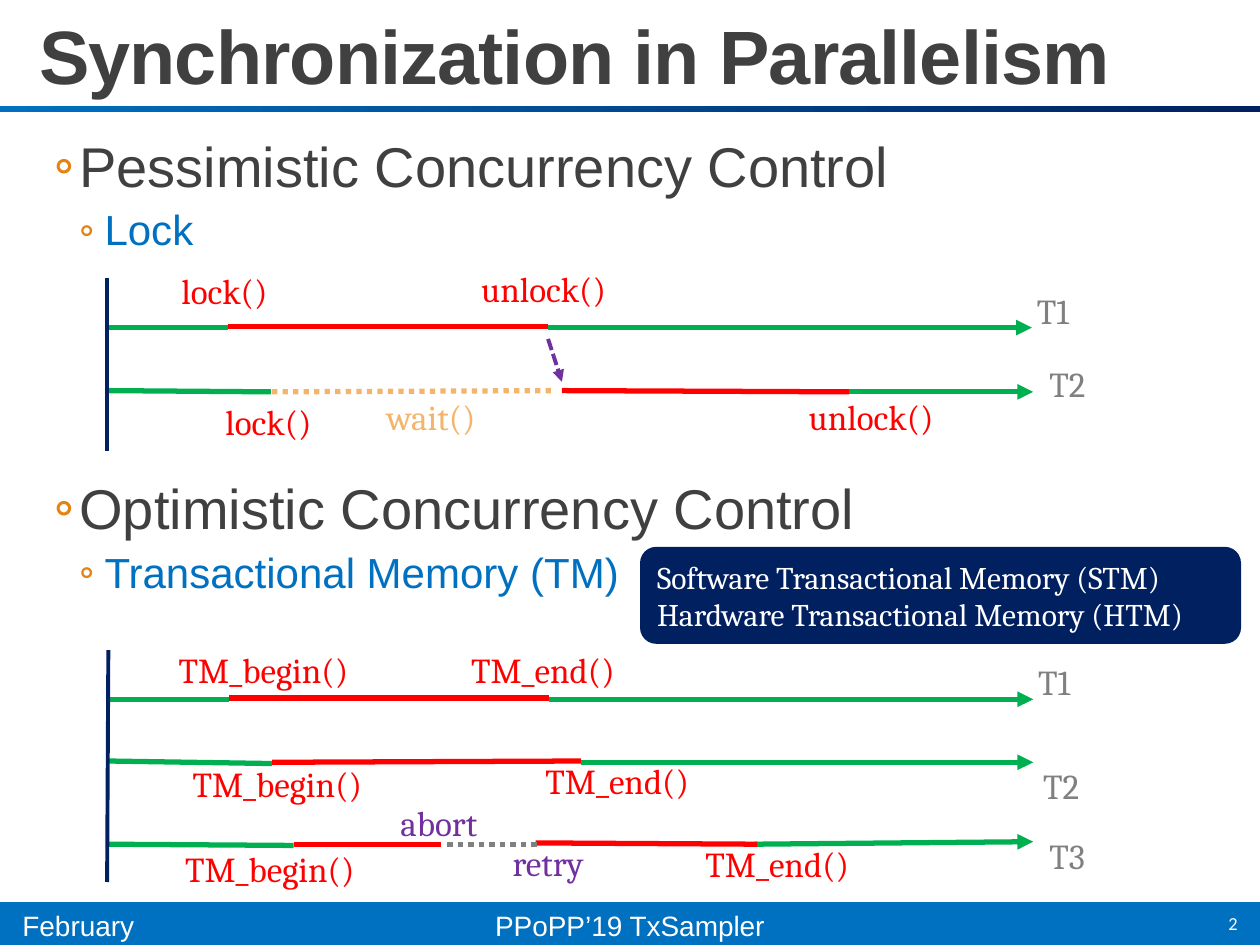
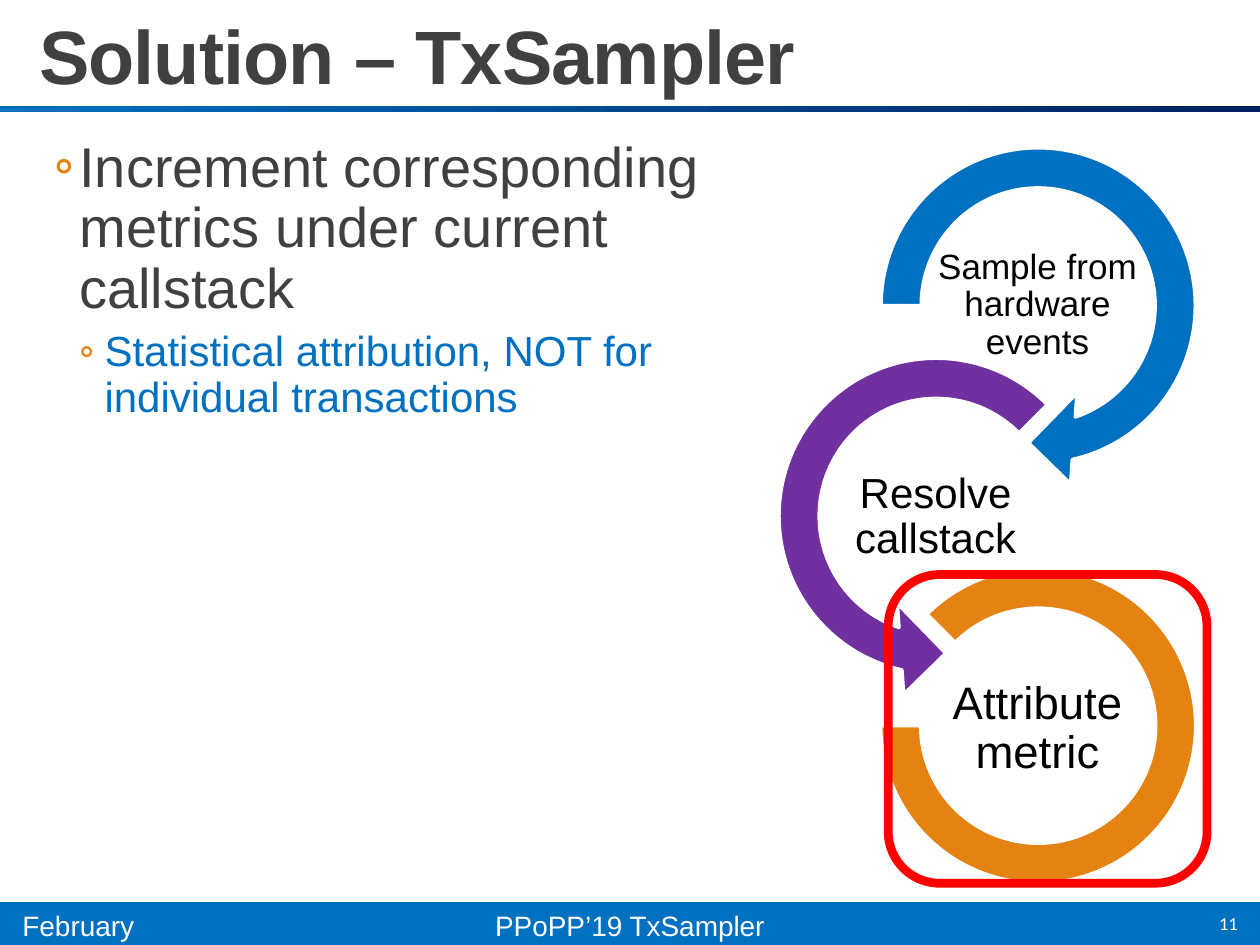
"""Builds two slides on thread synchronization and the TxSampler method."""
from lxml.etree import SubElement
from pptx import Presentation
from pptx.dml.color import RGBColor
from pptx.enum.dml import MSO_LINE
from pptx.enum.shapes import MSO_CONNECTOR, MSO_SHAPE
from pptx.enum.text import MSO_ANCHOR, MSO_AUTO_SIZE, PP_ALIGN
from pptx.oxml.ns import qn
from pptx.util import Inches, Pt

HUES = {
    "white": "FFFFFF", "black": "000000", "dark": "404040", "gray": "808080",
    "navy": "002060", "blue": "0070C0", "green": "00B050", "red": "FF0000",
    "purple": "7030A0", "orange": "E48312", "peach": "F3B56C",
}
LEVELS = [(32, "dark", 0.42), (24, "blue", 0.62)]


def tint(name):
    return RGBColor.from_string(HUES[name])


def place(shape, box):
    shape.left, shape.top, shape.width, shape.height = map(Inches, box)


def style(para, size, hue, face="Arial", bold=False):
    font = para.font
    font.size, font.name, font.bold = Pt(size), face, bold
    font.color.rgb = tint(hue)


def inset(frame, side, edge):
    frame.margin_left = frame.margin_right = Inches(side)
    frame.margin_top = frame.margin_bottom = Inches(edge)


def block(slide, kind, box, fill=None, line=None, width=1, adjust=()):
    shape = slide.shapes.add_shape(kind, *map(Inches, box))
    shape.shadow.inherit = False
    for spot, value in enumerate(adjust):
        shape.adjustments[spot] = value
    if fill:
        shape.fill.solid()
        shape.fill.fore_color.rgb = tint(fill)
    else:
        shape.fill.background()
    if line:
        shape.line.color.rgb = tint(line)
        shape.line.width = Pt(width)
    else:
        shape.line.fill.background()
    return shape


def label(slide, text, box, size, hue, face="Arial", align=PP_ALIGN.LEFT,
          anchor=MSO_ANCHOR.TOP):
    frame = slide.shapes.add_textbox(*map(Inches, box)).text_frame
    frame.word_wrap = True
    frame.vertical_anchor = anchor
    para = frame.paragraphs[0]
    para.text, para.alignment = text, align
    style(para, size, hue, face)
    return frame


def stroke(slide, start, end, hue, width=3, dash=None, arrow=False):
    wire = slide.shapes.add_connector(
        MSO_CONNECTOR.STRAIGHT, *map(Inches, start + end))
    wire.line.color.rgb = tint(hue)
    wire.line.width = Pt(width)
    if dash:
        wire.line.dash_style = dash
    if arrow:
        SubElement(wire.line._get_or_add_ln(), qn("a:tailEnd"), type="triangle")
    SubElement(wire._element.spPr, qn("a:effectLst"))


def bullet(para, indent):
    props = para._p.get_or_add_pPr()
    props.set("marL", str(Inches(indent)))
    props.set("indent", str(Inches(-0.2)))
    paint = SubElement(props, qn("a:buClr"))
    SubElement(paint, qn("a:srgbClr"), val=HUES["orange"])
    SubElement(props, qn("a:buFont"), typeface="Calibri")
    SubElement(props, qn("a:buChar"), char="◦")


def outline(slide, width, items):
    body = slide.placeholders[1]
    place(body, (0.21, 1.05, width, 5.95))
    frame = body.text_frame
    frame.auto_size = MSO_AUTO_SIZE.NONE
    inset(frame, 0, 0.05)
    for spot, (level, text, before) in enumerate(items):
        para = frame.add_paragraph() if spot else frame.paragraphs[0]
        size, hue, indent = LEVELS[level]
        para.text, para.level = text, level
        bullet(para, indent)
        para.line_spacing = 0.9
        para.space_before, para.space_after = Pt(before), Pt(4)
        style(para, size, hue)


def base(deck, heading, number):
    slide = deck.slides.add_slide(deck.slide_layouts[1])
    rule = block(slide, MSO_SHAPE.RECTANGLE, (0, 0.84, 10, 0.05))
    rule.fill.gradient()
    rule.fill.gradient_angle = 0
    for stop, hue, spot in zip(rule.fill.gradient_stops, ("blue", "navy"), (0, 1)):
        stop.color.rgb, stop.position = tint(hue), spot

    band = block(slide, MSO_SHAPE.RECTANGLE, (0, 7.16, 10, 0.34), "blue")
    band.text_frame.vertical_anchor = MSO_ANCHOR.TOP
    para = band.text_frame.paragraphs[0]
    para.text, para.alignment = "PPoPP’19 TxSampler", PP_ALIGN.CENTER
    style(para, 16, "white")
    label(slide, "February", (0.08, 7.16, 1.24, 0.37), 16, "white")
    label(slide, number, (8.84, 7.13, 1.08, 0.4), 10.5, "white", "Calibri",
          PP_ALIGN.RIGHT, MSO_ANCHOR.MIDDLE)

    title = slide.shapes.title
    place(title, (0.21, 0.26, 9.37, 0.58))
    frame = title.text_frame
    frame.auto_size = MSO_AUTO_SIZE.NONE
    frame.vertical_anchor = MSO_ANCHOR.BOTTOM
    para = frame.paragraphs[0]
    para.text, para.alignment, para.line_spacing = heading, PP_ALIGN.LEFT, 0.85
    style(para, 43.2, "dark", bold=True)
    para.runs[0]._r.get_or_add_rPr().set("spc", "-50")
    return slide


def threads(slide):
    green = [
        ((0.85, 2.6), (1.81, 2.6)), ((0.85, 3.1), (2.15, 3.11)),
        ((0.86, 5.55), (1.82, 5.55)), ((0.86, 6.04), (2.16, 6.06)),
        ((0.85, 6.7), (2.33, 6.71)),
    ]
    heads = [
        ((4.35, 2.6), (8.19, 2.6)), ((6.74, 3.11), (8.2, 3.11)),
        ((4.36, 5.55), (8.2, 5.55)), ((4.61, 6.05), (8.2, 6.05)),
        ((5.99, 6.7), (8.2, 6.68)),
    ]
    red = [
        ((1.81, 2.59), (4.35, 2.59)), ((4.46, 3.1), (6.74, 3.11)),
        ((1.82, 5.54), (4.36, 5.54)), ((2.16, 6.05), (4.61, 6.04)),
        ((2.33, 6.7), (3.5, 6.7)), ((4.25, 6.69), (6.01, 6.7)),
    ]
    for start, end in green:
        stroke(slide, start, end, "green")
    for start, end in heads:
        stroke(slide, start, end, "green", arrow=True)
    for start, end in red:
        stroke(slide, start, end, "red")
    dots = MSO_LINE.ROUND_DOT
    stroke(slide, (2.16, 3.11), (4.41, 3.1), "peach", dash=dots)
    stroke(slide, (3.55, 6.7), (4.26, 6.7), "gray", dash=dots)
    stroke(slide, (4.35, 2.69), (4.46, 3.03), "purple", 2.25,
           MSO_LINE.SQUARE_DOT, True)
    stroke(slide, (0.85, 2.21), (0.85, 3.58), "navy", 2.25)
    stroke(slide, (0.86, 5.16), (0.85, 7), "navy", 2.25)


def calls(slide):
    groups = [
        ("gray", 0.71, [
            ("T1", 8.13, 2.25), ("T2", 8.23, 2.83), ("T1", 8.14, 5.19),
            ("T2", 8.18, 6.02), ("T3", 8.23, 6.57)]),
        ("red", 1.28, [
            ("lock()", 1.34, 2.09), ("unlock()", 3.72, 2.07),
            ("lock()", 1.69, 3.13), ("unlock()", 6.32, 3.09)]),
        ("peach", 1.28, [("wait()", 2.97, 3.09)]),
        ("red", 2.25, [
            ("TM_begin()", 1.32, 5.1), ("TM_end()", 3.64, 5.1),
            ("TM_begin()", 1.43, 6), ("TM_end()", 4.23, 5.98),
            ("TM_begin()", 1.37, 6.68), ("TM_end()", 5.5, 6.64)]),
        ("purple", 2.25, [("abort", 3.08, 6.31), ("retry", 3.97, 6.63)]),
    ]
    for hue, width, items in groups:
        for text, left, top in items:
            label(slide, text, (left, top, width, 0.44), 20, hue, "Cambria")


def kinds(slide):
    card = block(slide, MSO_SHAPE.ROUNDED_RECTANGLE, (5.08, 4.34, 4.77, 0.77), "navy")
    frame = card.text_frame
    frame.vertical_anchor = MSO_ANCHOR.MIDDLE
    inset(frame, 0.1, 0.05)
    frame.text = ("Software Transactional Memory (STM)\n"
                  "Hardware Transactional Memory (HTM)")
    for para in frame.paragraphs:
        para.alignment = PP_ALIGN.LEFT
        style(para, 18, "white", "Cambria")


def steps(slide):
    parts = [
        (MSO_SHAPE.CIRCULAR_ARROW, (6.79, 0.97, 2.9, 2.91), "blue",
         (0.11, 11.42, 45, 108, 0.125),
         "Sample from hardware events", (7.35, 1.57, 1.77, 1.71), 20),
        (MSO_SHAPE.LEFT_CIRCULAR_ARROW, (5.98, 2.64, 2.9, 2.91), "purple",
         (0.11, 11.42, 63, 189, 0.125),
         "Resolve callstack", (6.62, 3.7, 1.61, 0.81), 24),
        (MSO_SHAPE.BLOCK_ARC, (6.99, 4.51, 2.5, 2.5), "orange",
         (135, 108, 0.127),
         "Attribute metric", (7.43, 5.38, 1.61, 0.81), 26),
    ]
    for kind, ring, hue, adjust, text, box, size in parts:
        block(slide, kind, ring, hue, "white", 2, adjust)
        frame = label(slide, text, box, size, "black",
                      align=PP_ALIGN.CENTER, anchor=MSO_ANCHOR.MIDDLE)
        inset(frame, 0.02, 0.02)
        frame.paragraphs[0].line_spacing = 0.9
    block(slide, MSO_SHAPE.ROUNDED_RECTANGLE, (7.05, 4.56, 2.53, 2.45),
          line="red", width=5)


def main():
    deck = Presentation()
    deck.slide_width, deck.slide_height = Inches(10), Inches(7.5)

    slide = base(deck, "Synchronization in Parallelism", "2")
    outline(slide, 9.48, [
        (0, "Pessimistic Concurrency Control", 0),
        (1, "Lock", 2),
        (0, "Optimistic Concurrency Control", 125),
        (1, "Transactional Memory (TM)", 2),
    ])
    threads(slide)
    calls(slide)
    kinds(slide)

    slide = base(deck, "Solution – TxSampler", "11")
    outline(slide, 5.71, [
        (0, "Increment corresponding metrics under current callstack", 0),
        (1, "Statistical attribution, NOT for individual transactions", 2),
    ])
    steps(slide)
    deck.save("out.pptx")


if __name__ == "__main__":
    main()
